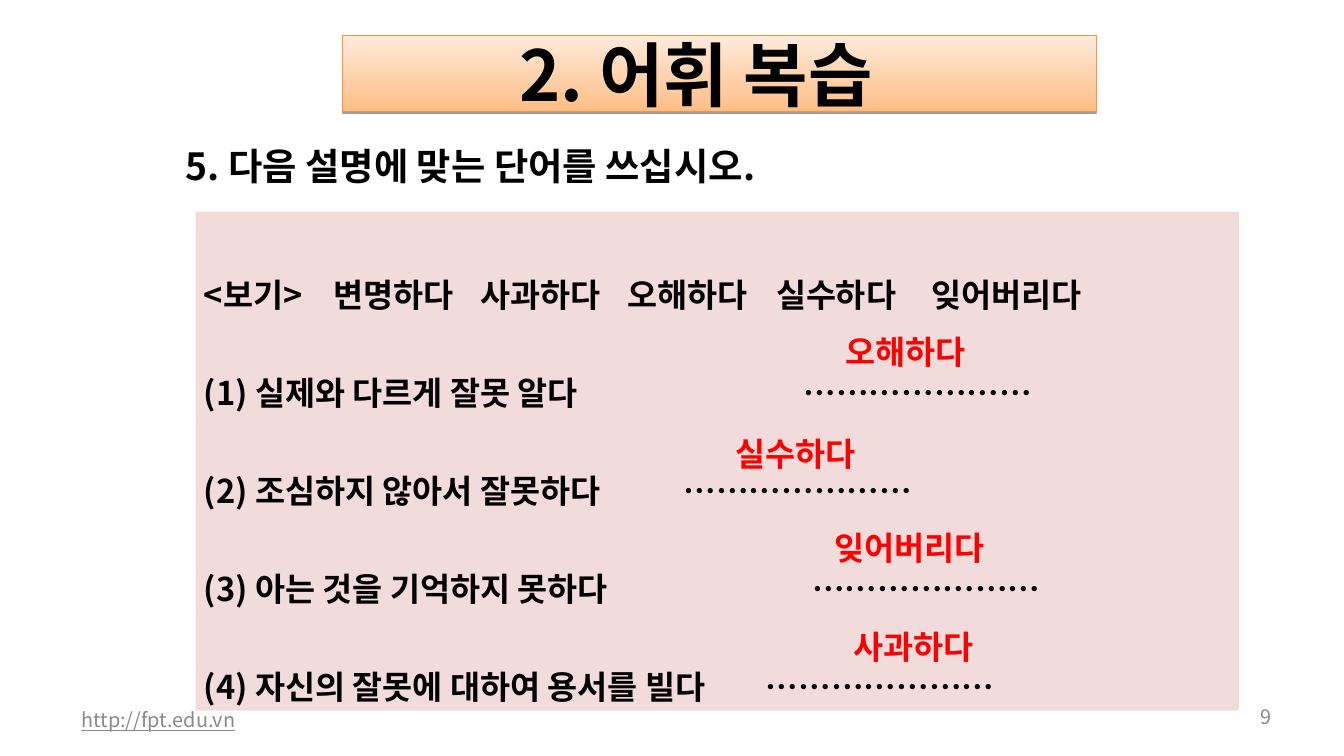
import pptx
import pptx.util
import pptx.dml.color
import pptx.enum.shapes
import pptx.enum.text
import pptx.oxml
import pptx.oxml.ns

Inches = pptx.util.Inches
Pt = pptx.util.Pt
RGBColor = pptx.dml.color.RGBColor
ALIGN = pptx.enum.text.PP_ALIGN
ANCHOR = pptx.enum.text.MSO_ANCHOR
RECTANGLE = pptx.enum.shapes.MSO_SHAPE.RECTANGLE

FONT = "Noto Sans CJK KR"
BLACK = RGBColor(0x00, 0x00, 0x00)
RED = RGBColor(0xFF, 0x00, 0x00)
GRAY = RGBColor(0x89, 0x89, 0x89)
PINK = RGBColor(0xF2, 0xDC, 0xDB)
ORANGE = RGBColor(0xF6, 0x92, 0x40)
ORANGE_DARK = RGBColor(0xFF, 0xBE, 0x86)
ORANGE_LIGHT = RGBColor(0xFF, 0xEB, 0xDB)
DRAWING_NS = pptx.oxml.ns.nsdecls("a")


def format_paragraph(paragraph, size, color, bold=True, tabs=()):
    """Add left tab stops (inches), then set the font of every run."""
    if tabs:
        stops = "".join(f'<a:tab pos="{Inches(tab)}" algn="l"/>' for tab in tabs)
        paragraph._p.get_or_add_pPr().append(
            pptx.oxml.parse_xml(f"<a:tabLst {DRAWING_NS}>{stops}</a:tabLst>"))
    for run in paragraph.runs:
        run.font.size = Pt(size)
        run.font.bold = bold
        run.font.color.rgb = color
        run.font.name = FONT
        east_asian = pptx.oxml.parse_xml(f'<a:ea {DRAWING_NS} typeface="{FONT}"/>')
        run._r.get_or_add_rPr().find(pptx.oxml.ns.qn("a:latin")).addnext(east_asian)


def add_label(left, top, width, height, text, size, color, bold=True):
    text_frame = slide.shapes.add_textbox(
        Inches(left), Inches(top), Inches(width), Inches(height)).text_frame
    text_frame.word_wrap = True
    text_frame.text = text
    format_paragraph(text_frame.paragraphs[0], size, color, bold)
    return text_frame


presentation = pptx.Presentation()
presentation.slide_width = Inches(16)
presentation.slide_height = Inches(9)
slide = presentation.slides.add_slide(presentation.slide_layouts[6])

# Footer and slide number
footer = add_label(0.83, 8.33, 5.07, 0.48, "http://fpt.edu.vn", 17, GRAY, False)
footer.paragraphs[0].runs[0].font.underline = True
number = add_label(14.5, 8.33, 0.78, 0.41, "9", 17, GRAY, False)
number.paragraphs[0].alignment = ALIGN.RIGHT
for text_frame in (footer, number):
    text_frame.vertical_anchor = ANCHOR.MIDDLE
    text_frame.margin_left = text_frame.margin_right = Inches(0.14)

# Title bar
title = slide.shapes.add_shape(
    RECTANGLE, Inches(4.08), Inches(0.42), Inches(8.97), Inches(0.91))
title.fill.gradient()
title.fill.gradient_angle = 90
for stop, color in zip(title.fill.gradient_stops, (ORANGE_DARK, ORANGE_LIGHT)):
    stop.color.rgb = color
title.line.color.rgb = ORANGE
title.line.width = Pt(0.75)
title._element.spPr.append(pptx.oxml.parse_xml(
    f'<a:effectLst {DRAWING_NS}><a:outerShdw dist="{Pt(1.6)}" dir="5400000" rotWithShape="0">'
    '<a:srgbClr val="000000"><a:alpha val="38000"/></a:srgbClr>'
    "</a:outerShdw></a:effectLst>"))
title.text_frame.text = "2. 어휘 복습"
title.text_frame.vertical_anchor = ANCHOR.MIDDLE
title.text_frame.margin_right = Inches(0.66)
title.text_frame.paragraphs[0].alignment = ALIGN.CENTER
format_paragraph(title.text_frame.paragraphs[0], 60, BLACK)

# Exercise panel: each line has its own tab stops
DOTS = "…………………"
exercise_lines = [
    ("<보기>\t변명하다\t사과하다\t오해하다\t실수하다\t잊어버리다", (1.54, 3.29, 5.04, 6.81, 8.66)),
    (f"(1) 실제와 다르게 잘못 알다\t{DOTS}", (7.14,)),
    (f"(2) 조심하지 않아서 잘못하다\t{DOTS}", (5.71,)),
    (f"(3) 아는 것을 기억하지 못하다\t{DOTS}", (7.24,)),
    (f"(4) 자신의 잘못에 대하여 용서를 빌다\t{DOTS}", (6.69,)),
]
panel = slide.shapes.add_shape(
    RECTANGLE, Inches(2.33), Inches(2.52), Inches(12.42), Inches(5.94))
panel.shadow.inherit = False
panel.fill.solid()
panel.fill.fore_color.rgb = PINK
panel.line.fill.background()
panel.text_frame.vertical_anchor = ANCHOR.TOP
panel.text_frame.text = "\n".join(text for text, tabs in exercise_lines)
for paragraph, (text, tabs) in zip(panel.text_frame.paragraphs, exercise_lines):
    paragraph.alignment = ALIGN.LEFT
    paragraph.line_spacing = Pt(84)
    format_paragraph(paragraph, 28, BLACK, tabs=tabs)

add_label(2.11, 1.65, 10.1, 0.64, "5. 다음 설명에 맞는 단어를 쓰십시오.", 32, BLACK)

# Answers
for left, top, answer in [
    (9.97, 3.9, "오해하다"),
    (8.66, 5.12, "실수하다"),
    (9.84, 6.24, "잊어버리다"),
    (10.06, 7.41, "사과하다"),
]:
    add_label(left, top, 2.3, 0.57, answer, 28, RED)

presentation.save("out.pptx")
